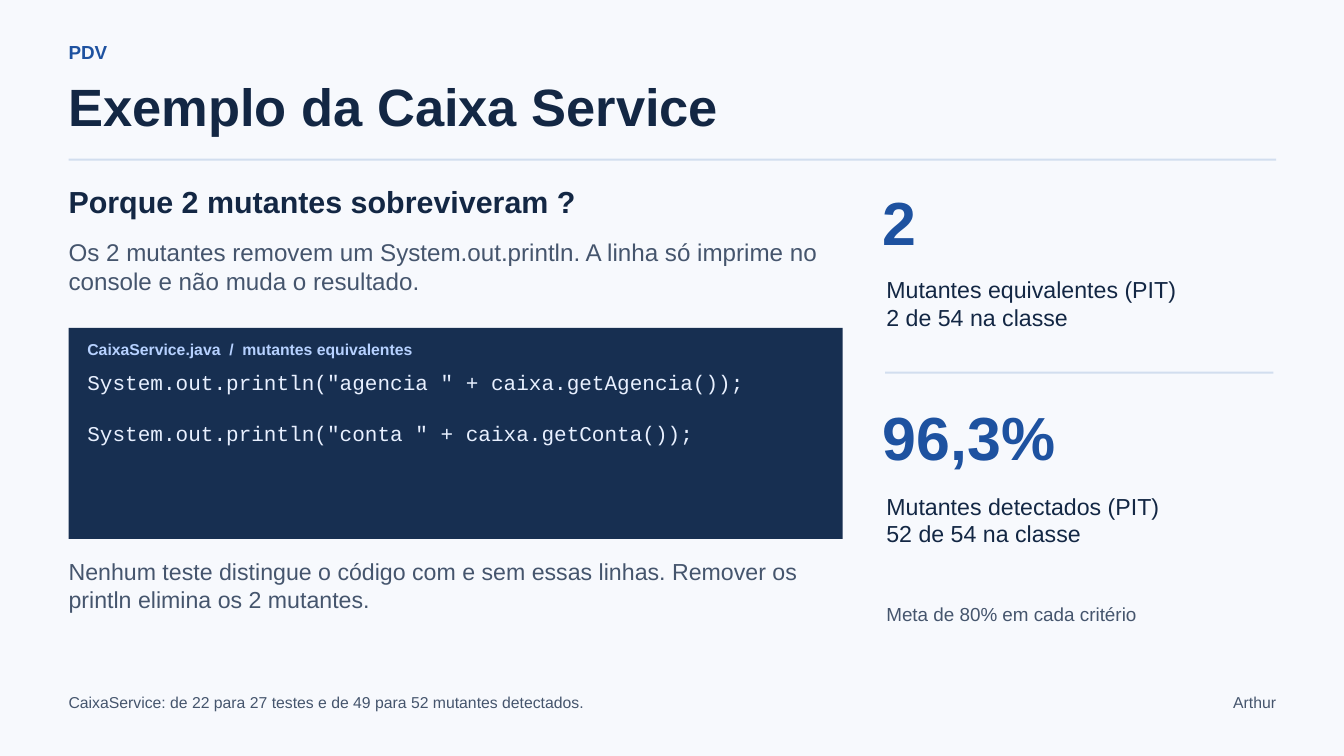
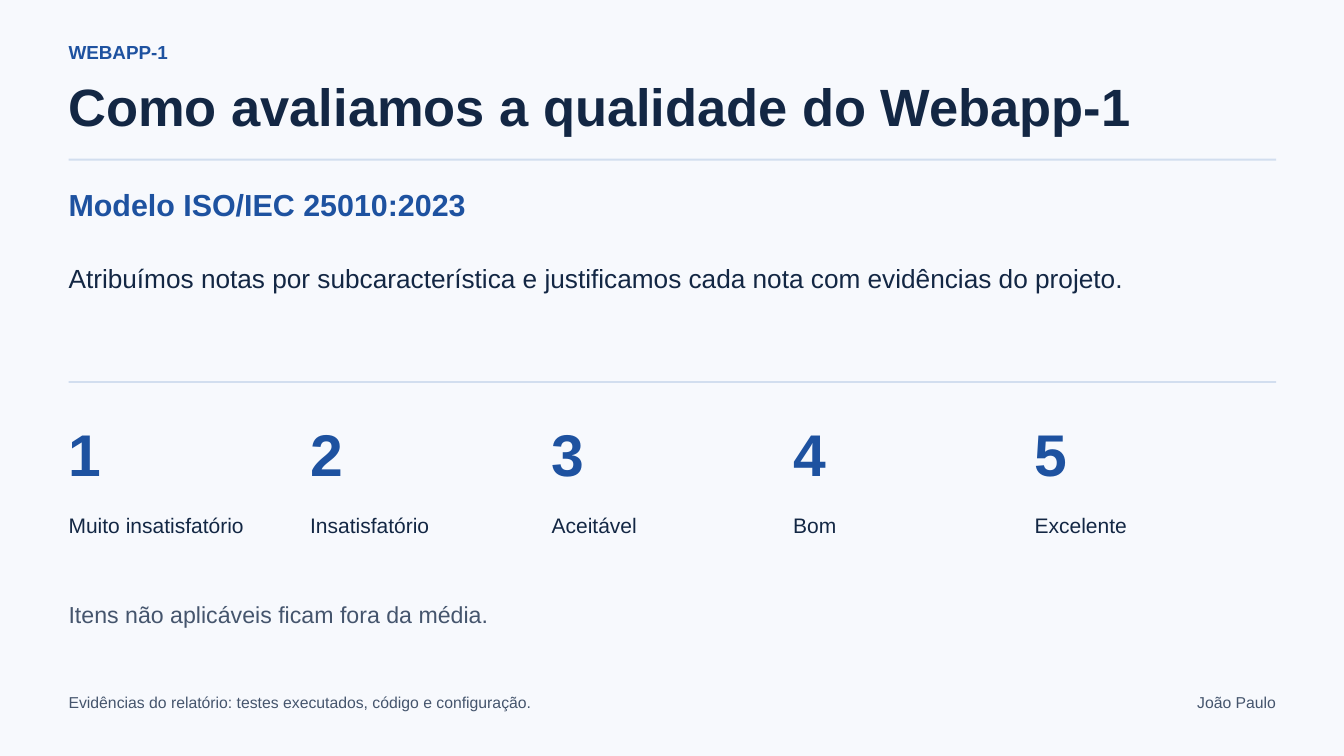
from pptx import Presentation
from pptx.dml.color import RGBColor
from pptx.enum.shapes import MSO_SHAPE as Form
from pptx.enum.text import MSO_AUTO_SIZE as Fit, PP_ALIGN as Align
from pptx.util import Inches, Pt

PAPER = RGBColor(0xF7, 0xF9, 0xFD)
BLUE = RGBColor(0x1E, 0x52, 0xA0)
NAVY = RGBColor(0x13, 0x27, 0x44)
GRAY = RGBColor(0x45, 0x55, 0x6D)
RULE = RGBColor(0xD2, 0xDE, 0xEF)
PANEL = RGBColor(0x17, 0x2F, 0x51)
SKY = RGBColor(0xB6, 0xD1, 0xFF)
ICE = RGBColor(0xE8, 0xF0, 0xFF)

deck = Presentation()
deck.slide_width, deck.slide_height = Inches(20), Inches(11.25)
COL = deck.slide_width / 20
ROW = deck.slide_height / 45
LEFT, SPAN = 1.02, 17.97
MAIN = 11.52
SIDE = 13.19
CODE = 1.3


def area(x, y, w, h):
    return int(x * COL), int(y * ROW), int(w * COL), int(h * ROW)


def write(slide, text, box, size, color=NAVY, bold=False, font="Arial",
          align=Align.LEFT, gap=0):
    frame = slide.shapes.add_textbox(*area(*box)).text_frame
    frame.margin_left = frame.margin_right = 0
    frame.margin_top = frame.margin_bottom = 0
    frame.word_wrap = True
    frame.auto_size = Fit.SHAPE_TO_FIT_TEXT
    for i, line in enumerate(text.split("\n")):
        para = frame.paragraphs[0] if i == 0 else frame.add_paragraph()
        para.alignment = align
        para.line_spacing = Pt(round(size * 1.2, 1))
        if i and gap:
            para.space_before = Pt(gap)
        run = para.add_run()
        run.text = line
        run.font.name, run.font.size = font, Pt(size)
        run.font.bold, run.font.color.rgb = bold, color


pages = [
    ("PDV", "Exemplo da Caixa Service", "Arthur",
     "CaixaService: de 22 para 27 testes e de 49 para 52 mutantes detectados.",
     [(SIDE - 0.02, 22.12, 5.78, 0.12, RULE),
      (LEFT, 19.52, MAIN, 12.56, PANEL)]),
    ("WEBAPP-1", "Como avaliamos a qualidade do Webapp-1", "João Paulo",
     "Evidências do relatório: testes executados, código e configuração.",
     [(LEFT, 22.68, SPAN, 0.12, RULE)]),
]
slides = []
for topic, title, author, note, bands in pages:
    slide = deck.slides.add_slide(deck.slide_layouts[6])
    slide.background.fill.solid()
    slide.background.fill.fore_color.rgb = PAPER
    write(slide, topic, (LEFT, 2.4, 17.5, 1.84), 20.2, BLUE, bold=True)
    write(slide, title, (LEFT, 4.4, SPAN, 4.2), 56.2, bold=True)
    for x, y, w, h, color in [(LEFT, 9.44, SPAN, 0.12, RULE)] + bands:
        band = slide.shapes.add_shape(Form.RECTANGLE, *area(x, y, w, h))
        band.shadow.inherit = False
        band.fill.solid()
        band.fill.fore_color.rgb = color
        band.line.fill.background()
    write(slide, author, (16.47, 41.24, 2.52, 1.9), 16.9, GRAY, align=Align.RIGHT)
    write(slide, note, (LEFT, 41.24, 15.25, 1.9), 16.9, GRAY)
    slides.append(slide)
case, model = slides

write(case, "Porque 2 mutantes sobreviveram ?", (LEFT, 10.92, MAIN, 2.28), 32.6, bold=True)
write(case, "Os 2 mutantes removem um System.out.println. A linha só imprime no "
      "console e não muda o resultado.", (LEFT, 14.12, 11.42, 3.52), 25.9, GRAY)
write(case, "CaixaService.java  /  mutantes equivalentes",
      (CODE, 20.24, 10.95, 1.2), 16.9, SKY, bold=True)
write(case, 'System.out.println("agencia " + caixa.getAgencia());\n'
      'System.out.println("conta " + caixa.getConta());',
      (CODE, 22, 10.95, 4.76), 22.5, ICE, font="Courier New", gap=27)
write(case, "Nenhum teste distingue o código com e sem essas linhas. Remover os "
      "println elimina os 2 mutantes.", (LEFT, 33.16, MAIN, 3.28), 24.8, GRAY)

stats = [
    ("2", 11, 0.5, "Mutantes equivalentes (PIT)\n2 de 54 na classe", 16.4, 3.28),
    ("96,3%", 23.76, 5.16, "Mutantes detectados (PIT)\n52 de 54 na classe", 29.28, 4.6),
]
for value, top, width, label, base, tall in stats:
    write(case, value, (SIDE - 0.05, top, width, 4.6), 65.2, BLUE, bold=True)
    write(case, label, (SIDE, base, 5.61, tall), 24.8)
write(case, "Meta de 80% em cada critério", (SIDE, 35.88, 5.66, 2.16), 20.2, GRAY)

write(model, "Modelo ISO/IEC 25010:2023", (LEFT, 11.08, 17.62, 3.24), 32.6, BLUE, bold=True)
write(model, "Atribuímos notas por subcaracterística e justificamos cada nota com "
      "evidências do projeto.", (LEFT, 15.6, 17.42, 5.52), 28.1)
grades = ["Muito insatisfatório", "Insatisfatório", "Aceitável", "Bom", "Excelente"]
for i, grade in enumerate(grades):
    x = LEFT + i * SPAN / len(grades)
    write(model, str(i + 1), (x, 24.84, 3.2, 5.2), 63, BLUE, bold=True)
    write(model, grade, (x, 30.48, 3.38, 3.96), 22.5)
write(model, "Itens não aplicáveis ficam fora da média.",
      (LEFT, 35.72, 17.62, 2.96), 24.8, GRAY)

deck.save("out.pptx")
